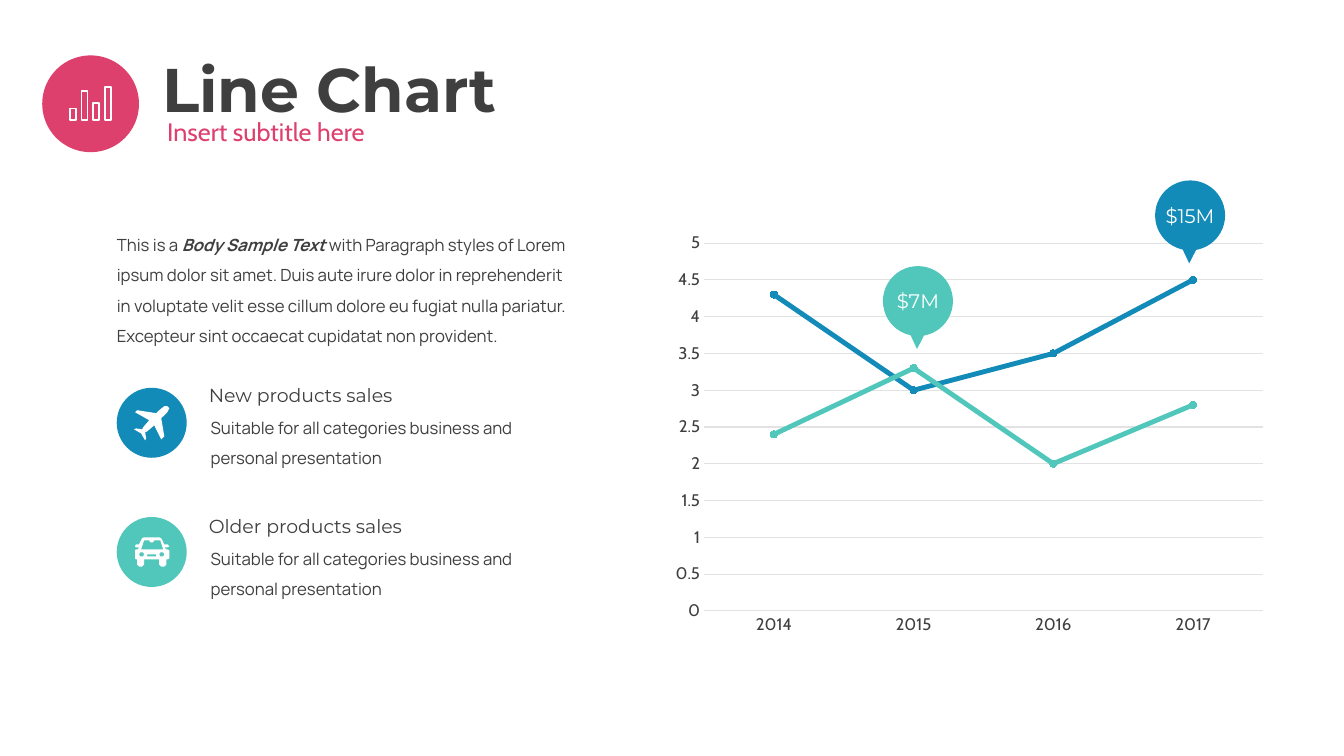
"""Build a line chart slide with a heading, two product notes and two value callouts."""
from pptx import Presentation
from pptx.chart.data import CategoryChartData
from pptx.dml.color import RGBColor
from pptx.enum.chart import XL_CHART_TYPE, XL_MARKER_STYLE, XL_TICK_MARK
from pptx.enum.shapes import MSO_SHAPE
from pptx.enum.text import MSO_ANCHOR, PP_ALIGN
from pptx.util import Pt

OVAL, RECTANGLE = MSO_SHAPE.OVAL, MSO_SHAPE.RECTANGLE
CALLOUT = MSO_SHAPE.OVAL_CALLOUT
TOP, MIDDLE, CENTER = MSO_ANCHOR.TOP, MSO_ANCHOR.MIDDLE, PP_ALIGN.CENTER
LINE_MARKERS, CIRCLE = XL_CHART_TYPE.LINE_MARKERS, XL_MARKER_STYLE.CIRCLE
NO_TICK = XL_TICK_MARK.NONE
COLORS = {name: RGBColor.from_string(code) for name, code in {
    "dark": "3F3F3F", "pink": "DE406E", "blue": "138BB9",
    "teal": "51C7BB", "white": "FFFFFF", "grid": "E2E2E2"}.items()}

deck = Presentation()
deck.slide_width, deck.slide_height = Pt(960), Pt(540)
page = deck.slides.add_slide(deck.slide_layouts[6])


def add_text(bounds, runs, font, size, color="dark", spacing=0.9, anchor=TOP, inset=0):
    """Add a wrapped text box; runs are (text, emphasised) pairs."""
    box = page.shapes.add_textbox(*[Pt(value) for value in bounds])
    frame = box.text_frame
    frame.word_wrap = True
    frame.vertical_anchor = anchor
    if inset is not None:
        frame.margin_left = frame.margin_right = Pt(inset)
        frame.margin_top = frame.margin_bottom = Pt(inset)
    para = frame.paragraphs[0]
    para.line_spacing = spacing
    for text, emphasised in runs:
        span = para.add_run()
        span.text = text
        span.font.name, span.font.size = font, Pt(size)
        span.font.color.rgb = COLORS[color]
        span.font.bold = emphasised
        span.font.italic = emphasised and spacing == 1.5


def add_filled(kind, left, top, width, height, color):
    """Add a preset shape with a plain fill and no outline."""
    shape = page.shapes.add_shape(kind, Pt(left), Pt(top), Pt(width), Pt(height))
    shape.shadow.inherit = False
    shape.fill.solid()
    shape.fill.fore_color.rgb = COLORS[color]
    shape.line.fill.background()
    return shape


add_text((108.7, 28.8, 792, 74.2), [("Line Chart", True)], "Montserrat", 44,
         anchor=MIDDLE, inset=None)
add_text((112.3, 82.1, 794, 46.8), [("Insert subtitle here", False)], "Cabin", 18,
         "pink", inset=None)

add_filled(OVAL, 30.2, 39.6, 69.1, 69.1, "pink")
for index, height in enumerate([8.5, 21, 12.5, 24]):
    bar = page.shapes.add_shape(RECTANGLE, Pt(49.9 + index * 8.4), Pt(86 - height),
                                Pt(4.2), Pt(height))
    bar.shadow.inherit = False
    bar.fill.background()
    bar.line.color.rgb = COLORS["white"]
    bar.line.width = Pt(1.25)

add_text((83.5, 160.6, 329, 84.2), [
    ("This is a ", False), ("Body Sample Text ", True),
    ("with Paragraph styles of Lorem ipsum dolor sit amet. Duis aute irure dolor in "
     "reprehenderit in voluptate velit esse cillum dolore eu fugiat nulla pariatur. "
     "Excepteur sint occaecat cupidatat non provident.", False)],
    "Manrope", 12, spacing=1.5)

plane = [[
    (166, 403), (163, 403), (158, 407), (155, 410), (136, 407), (134, 409), (148, 417),
    (142, 424), (141, 426), (135, 425), (133, 426), (140, 430), (144, 437), (145, 435),
    (144, 429), (146, 428), (153, 422), (160, 436), (163, 433), (160, 415), (163, 412),
    (166, 409), (168, 405)]]
headlight = [(138, 550), (139, 548), (142, 548), (143, 550), (142, 552), (139, 552)]
car = [
    [(166, 545), (165, 545), (163, 543), (166, 543), (168, 542), (166, 540), (163, 540),
     (161, 536), (160, 534), (158, 533), (143, 533), (141, 534), (140, 536), (138, 540),
     (135, 540), (134, 542), (135, 543), (138, 543), (137, 545), (135, 545), (134, 546),
     (134, 554), (135, 555), (136, 555), (136, 560), (138, 562), (141, 562), (143, 560),
     (143, 555), (158, 555), (158, 560), (160, 562), (163, 562), (165, 560), (165, 555),
     (166, 555), (168, 554), (168, 546)],
    [(143, 536), (148, 536), (149, 538), (152, 538), (153, 536), (159, 536),
     (162, 545), (140, 545)],
    [(146, 550), (155, 550), (155, 552), (146, 552)],
    headlight,
    [(x + 20, y) for x, y in headlight]]

items = [("New products sales", "blue", 277, 272.9, plane),
         ("Older products sales", "teal", 369.3, 366.5, car)]
for heading, color, circle_top, text_top, outlines in items:
    add_filled(OVAL, 83.4, circle_top, 50, 50, color)
    builder = page.shapes.build_freeform(*outlines[0][0], scale=Pt(0.72))
    builder.add_line_segments(outlines[0][1:], close=True)
    for outline in outlines[1:]:
        builder.move_to(*outline[0])
        builder.add_line_segments(outline[1:], close=True)
    icon = builder.convert_to_shape()
    icon.shadow.inherit = False
    icon.fill.solid()
    icon.fill.fore_color.rgb = COLORS["white"]
    icon.line.fill.background()
    add_text((150.5, text_top + 18, 257, 41),
             [("Suitable for all categories business and personal presentation", False)],
             "Manrope", 12, spacing=1.5)
    add_text((146.2, text_top, 262, 20.9), [(heading, False)], "Montserrat", 13.5,
             anchor=MIDDLE, inset=3)

data = CategoryChartData()
data.categories = ["2014", "2015", "2016", "2017"]
data.add_series("Series 1", [4.3, 3, 3.5, 4.5])
data.add_series("Series 2", [2.4, 3.3, 2, 2.8])
chart = page.shapes.add_chart(LINE_MARKERS, Pt(473.8), Pt(160.6), Pt(437), Pt(298.8),
                              data).chart
chart.has_legend = chart.has_title = False
chart.font.name, chart.font.size = "Cabin", Pt(10)
chart.font.color.rgb = COLORS["dark"]
chart.plots[0].vary_by_categories = False
for axis in (chart.category_axis, chart.value_axis):
    axis.major_tick_mark = axis.minor_tick_mark = NO_TICK
    axis.tick_labels.font.name = "Cabin"
    axis.tick_labels.font.size = Pt(12)
    axis.tick_labels.font.color.rgb = COLORS["dark"]
values = chart.value_axis
values.minimum_scale, values.maximum_scale, values.major_unit = 0, 5, 0.5
values.format.line.fill.background()
for line in (chart.category_axis.format.line, values.major_gridlines.format.line):
    line.color.rgb = COLORS["grid"]
    line.width = Pt(0.75)
for series, color in zip(chart.plots[0].series, ["blue", "teal"]):
    series.smooth = False
    series.format.line.color.rgb = COLORS[color]
    series.format.line.width = Pt(3.5)
    series.marker.style, series.marker.size = CIRCLE, 5
    series.marker.format.fill.solid()
    series.marker.format.fill.fore_color.rgb = COLORS[color]
    series.marker.format.line.color.rgb = COLORS[color]

for label, color, left, top in [("$15M", "blue", 825.1, 128.9),
                                ("$7M", "teal", 630.7, 190.1)]:
    callout = add_filled(CALLOUT, left, top, 50, 50, color)
    callout.adjustments[0], callout.adjustments[1] = -0.013, 0.685
    frame = callout.text_frame
    frame.word_wrap = False
    frame.vertical_anchor = MIDDLE
    frame.margin_left = frame.margin_right = frame.margin_top = frame.margin_bottom = 0
    para = frame.paragraphs[0]
    para.alignment = CENTER
    span = para.add_run()
    span.text = label
    span.font.name, span.font.size = "Montserrat", Pt(14)
    span.font.color.rgb = COLORS["white"]

deck.save("out.pptx")
